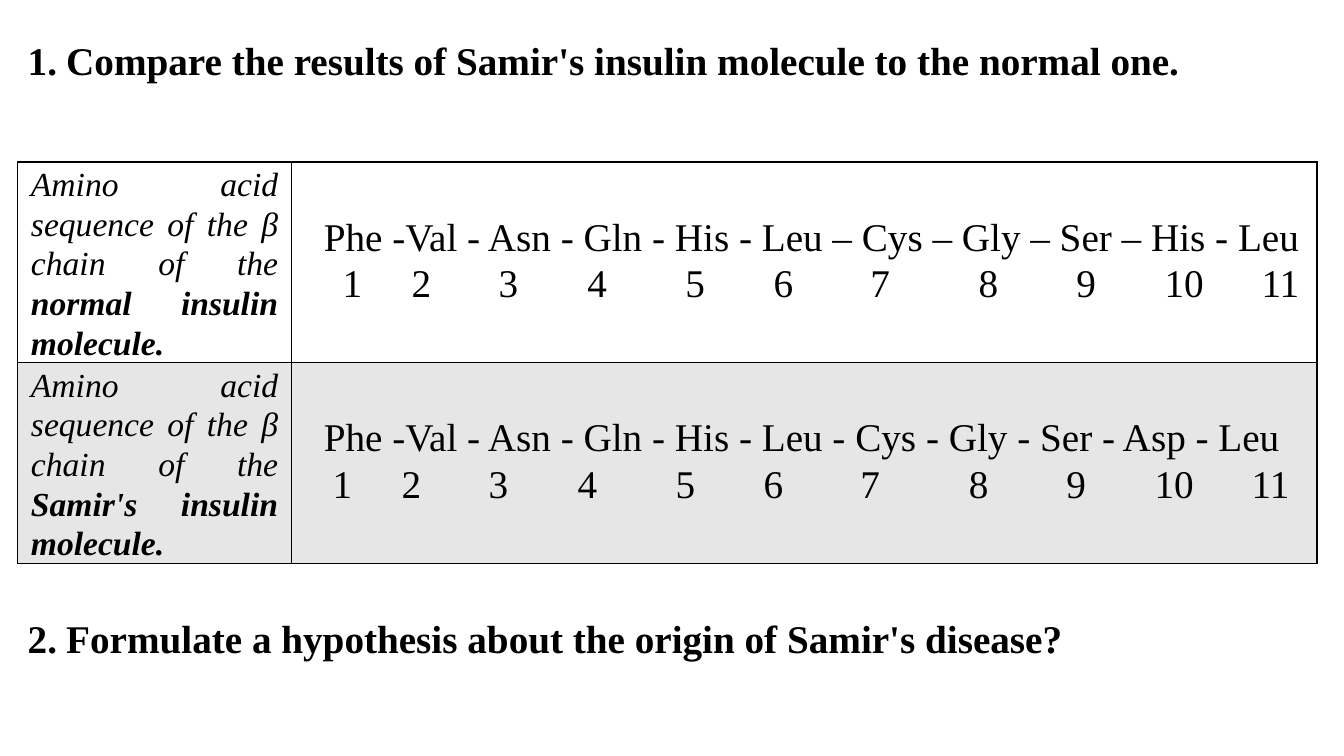
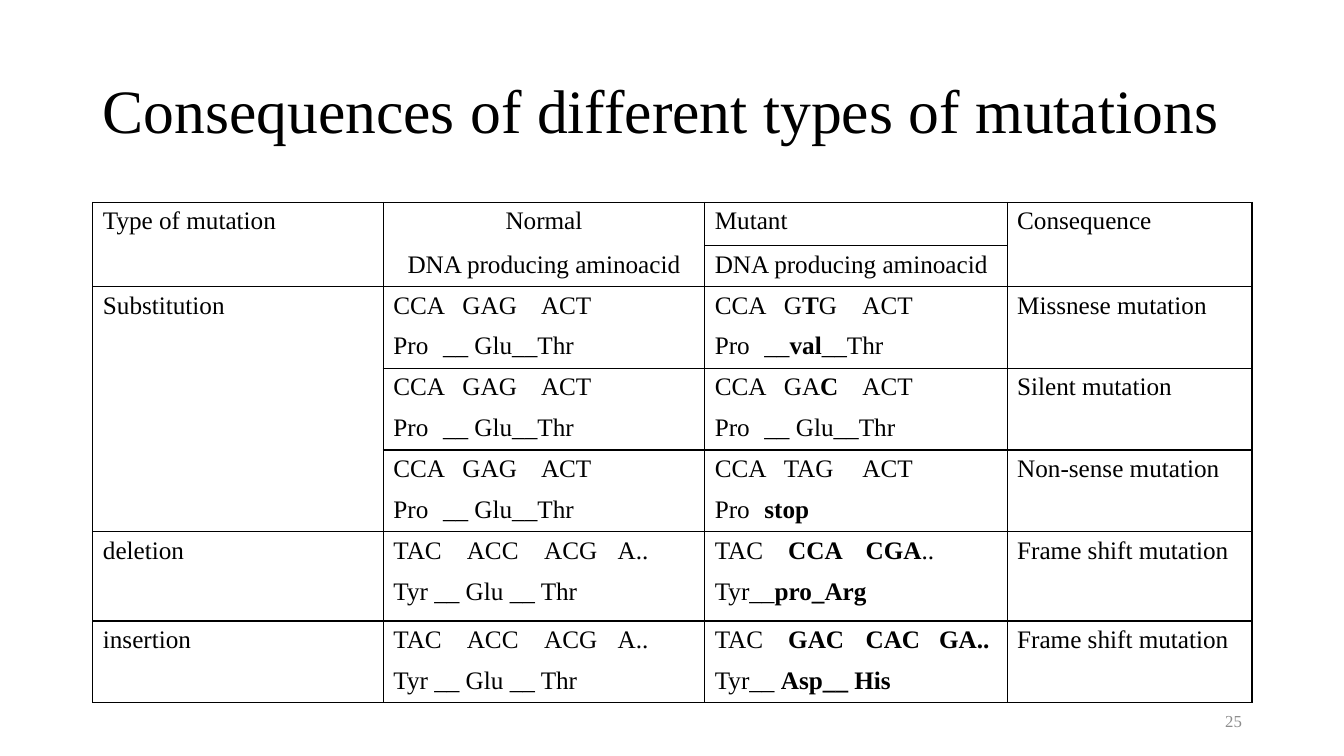
from lxml import etree
from pptx import Presentation
from pptx.dml.color import RGBColor
from pptx.enum.text import MSO_ANCHOR, PP_ALIGN
from pptx.oxml.ns import qn
from pptx.util import Cm, Pt

LEFT, CENTER = PP_ALIGN.LEFT, PP_ALIGN.CENTER
RIGHT, JUSTIFY = PP_ALIGN.RIGHT, PP_ALIGN.JUSTIFY
TOP, MIDDLE = MSO_ANCHOR.TOP, MSO_ANCHOR.MIDDLE

FONT = "Times New Roman"
COLORS = {"text": "000000", "border": "000000", "shade": "E7E6E6", "number": "8C8C8C"}

# Content: text between asterisks is bold
QUESTIONS = [
    (0.61, "Compare the results of Samir's insulin molecule to the normal one."),
    (15.19, "Formulate a hypothesis about the origin of Samir's disease?"),
]
# Label, sequence, shift of the position numbers, fill
CHAINS = [
    ("Amino acid sequence of the β chain of the *normal insulin molecule.*",
     "Phe -Val - Asn - Gln - His - Leu – Cys – Gly – Ser – His - Leu", 0, None),
    ("Amino acid sequence of the β chain of the *Samir's insulin molecule.*",
     "Phe -Val - Asn - Gln - His - Leu - Cys - Gly - Ser - Asp - Leu", -0.25, "shade"),
]
POSITION_STOPS = [1.21, 2.95, 5.14, 7.38, 9.85, 12.07, 14.51, 17.24, 19.7, 22.17, 24.6]

TITLE = "Consequences of different types of mutations"
PAGE_NUMBER = "25"
HEADER = [("Normal", "Mutant"), ("DNA producing aminoacid",) * 2]
NORMAL_SUB = ("CCA\tGAG\tACT", "Pro\t__ Glu__Thr")
NORMAL_SHIFT = ("TAC\tACC\tACG\tA..", "Tyr __ Glu __ Thr")
# Normal (DNA, amino acids), mutant (DNA, amino acids), consequence
MUTATIONS = [
    (NORMAL_SUB, ("CCA\tG*T*G\tACT", "Pro\t__*val*__Thr"), "Missnese mutation"),
    (NORMAL_SUB, ("CCA\tGA*C*\tACT", "Pro\t__ Glu__Thr"), "Silent mutation"),
    (NORMAL_SUB, ("CCA\tTAG\tACT", "Pro\t*stop*"), "Non-sense mutation"),
    (NORMAL_SHIFT, ("TAC\t*CCA\tCGA*..", "Tyr__*pro_Arg*"), "Frame shift mutation"),
    (NORMAL_SHIFT, ("TAC\t*GAC\tCAC\tGA..*", "Tyr__ *Asp__ His*"), "Frame shift mutation"),
]
# First row, last row, name
TYPES = [(0, 1, "Type of mutation"), (2, 7, "Substitution"),
         (8, 9, "deletion"), (10, 11, "insertion")]
CODON_STOPS = {"CCA": [1.74, 3.72], "TAC": [1.85, 3.8, 5.65], "Pro": [1.25]}


def add_text(p, text, size, color="text", align=LEFT, italic=False, bold=False,
             stops=(), stop_kind="l", number=None, indent=0, **spacing):
    """Write marked text into paragraph p."""
    p.alignment = align
    for name, value in spacing.items():
        setattr(p, name, value)
    pPr = p._p.get_or_add_pPr()
    if indent:
        pPr.set("marL", str(Cm(indent)))
    if number:
        pPr.set("indent", str(-Cm(indent)))
        etree.SubElement(pPr, qn("a:buAutoNum"), type="arabicPeriod", startAt=str(number))
    if stops:
        tabs = etree.SubElement(pPr, qn("a:tabLst"))
        for stop in stops:
            etree.SubElement(tabs, qn("a:tab"), pos=str(Cm(stop)), algn=stop_kind)
    for i, piece in enumerate(text.split("*")):
        if piece:
            r = p.add_run()
            r.text = piece
            fmt = {"name": FONT, "size": Pt(size), "italic": italic,
                   "bold": bold or i % 2 == 1}
            for name, value in fmt.items():
                setattr(r.font, name, value)
            r.font.color.rgb = RGBColor.from_string(COLORS[color])


def add_box(s, x, y, w, h, text, size, anchor=TOP, **fmt):
    tf = s.shapes.add_textbox(Cm(x), Cm(y), Cm(w), Cm(h)).text_frame
    tf.word_wrap = True
    tf.vertical_anchor = anchor
    add_text(tf.paragraphs[0], text, size, **fmt)


def add_grid(s, x, y, widths, heights):
    """Add a plain table with the given column widths and row heights."""
    table = s.shapes.add_table(len(heights), len(widths), Cm(x), Cm(y),
                               Cm(sum(widths)), Cm(sum(heights))).table
    table.first_row = table.horz_banding = False
    for col, w in zip(table.columns, widths):
        col.width = Cm(w)
    for row, h in zip(table.rows, heights):
        row.height = Cm(h)
    return table


def style_cell(cell, sides="LRTB", fill=None):
    """Draw the named borders, hide the others, and set the fill."""
    tcPr = cell._tc.get_or_add_tcPr()
    for side in "LRTB":
        ln = etree.SubElement(tcPr, qn("a:ln" + side), w=str(Pt(1)))
        if side in sides:
            solid = etree.SubElement(ln, qn("a:solidFill"))
            etree.SubElement(solid, qn("a:srgbClr"), val=COLORS["border"])
        else:
            etree.SubElement(ln, qn("a:noFill"))
    if fill:
        cell.fill.solid()
        cell.fill.fore_color.rgb = RGBColor.from_string(COLORS[fill])
    else:
        cell.fill.background()


def build_insulin(s):
    table = add_grid(s, 0.45, 4.08, [6.89, 25.85], [5.05] * len(CHAINS))
    numbers = "".join(f"\t{n}" for n in range(1, len(POSITION_STOPS) + 1))
    for i, (label, sequence, shift, fill) in enumerate(CHAINS):
        for cell, top in zip(table.rows[i].cells, (0.05, 1.29)):
            margins = {"margin_left": 0.33, "margin_right": 0.33,
                       "margin_top": top, "margin_bottom": 0}
            for name, value in margins.items():
                setattr(cell, name, Cm(value))
            style_cell(cell, fill=fill)
        fmt = {"align": JUSTIFY, "line_spacing": 1.07}
        add_text(table.cell(i, 0).text_frame.paragraphs[0], label, 24, italic=True, **fmt)
        tf = table.cell(i, 1).text_frame
        add_text(tf.paragraphs[0], sequence, 28, indent=0.49, **fmt)
        add_text(tf.add_paragraph(), numbers, 28, stop_kind="ctr",
                 stops=[x + shift for x in POSITION_STOPS],
                 line_spacing=1.07)
    for number, (y, question) in enumerate(QUESTIONS, 1):
        add_box(s, 0.45, y, 31.67, 1.55, question, 28, bold=True, align=JUSTIFY,
                number=number, indent=0.97, line_spacing=1.15, space_after=Pt(8))


def build_mutations(s):
    add_box(s, 2.34, 1.02, 29.21, 3.68, TITLE, 44, anchor=MIDDLE, line_spacing=0.9)
    heights = [1.09] + [1.03] * 8 + [1.22] + [1.03] * 2
    table = add_grid(s, 2.34, 5.1, [7.32, 8.1, 7.62, 6.17], heights)

    # Middle columns: two rows to a pair, with no line inside the pair
    pairs = HEADER + [line for normal, mutant, _ in MUTATIONS for line in zip(normal, mutant)]
    for i, texts in enumerate(pairs):
        for j, text in enumerate(texts, 1):
            header = i < len(HEADER)
            cell = table.cell(i, j)
            sides = "LRTB" if header and j == 2 else "LR" + "TB"[i % 2]
            style_cell(cell, sides)
            add_text(cell.text_frame.paragraphs[0], text, 18,
                     align=CENTER if header and j == 1 else LEFT,
                     stops=CODON_STOPS.get(text[:3], ()) if "\t" in text else ())

    # Outer columns: merged cells
    results = ["Consequence"] + [m[2] for m in MUTATIONS]
    merged = [(0, *t) for t in TYPES]
    merged += [(3, 2 * k, 2 * k + 1, text) for k, text in enumerate(results)]
    for j, first, last, text in merged:
        for i in range(first, last + 1):
            style_cell(table.cell(i, j))
        table.cell(first, j).merge(table.cell(last, j))
        add_text(table.cell(first, j).text_frame.paragraphs[0], text, 18)

    add_box(s, 23.93, 17.65, 7.62, 1.02, PAGE_NUMBER, 12, anchor=MIDDLE,
            color="number", align=RIGHT)


def main():
    prs = Presentation()
    prs.slide_width, prs.slide_height = Cm(33.87), Cm(19.05)
    for build in (build_insulin, build_mutations):
        build(prs.slides.add_slide(prs.slide_layouts[6]))
    prs.save("out.pptx")


if __name__ == "__main__":
    main()
